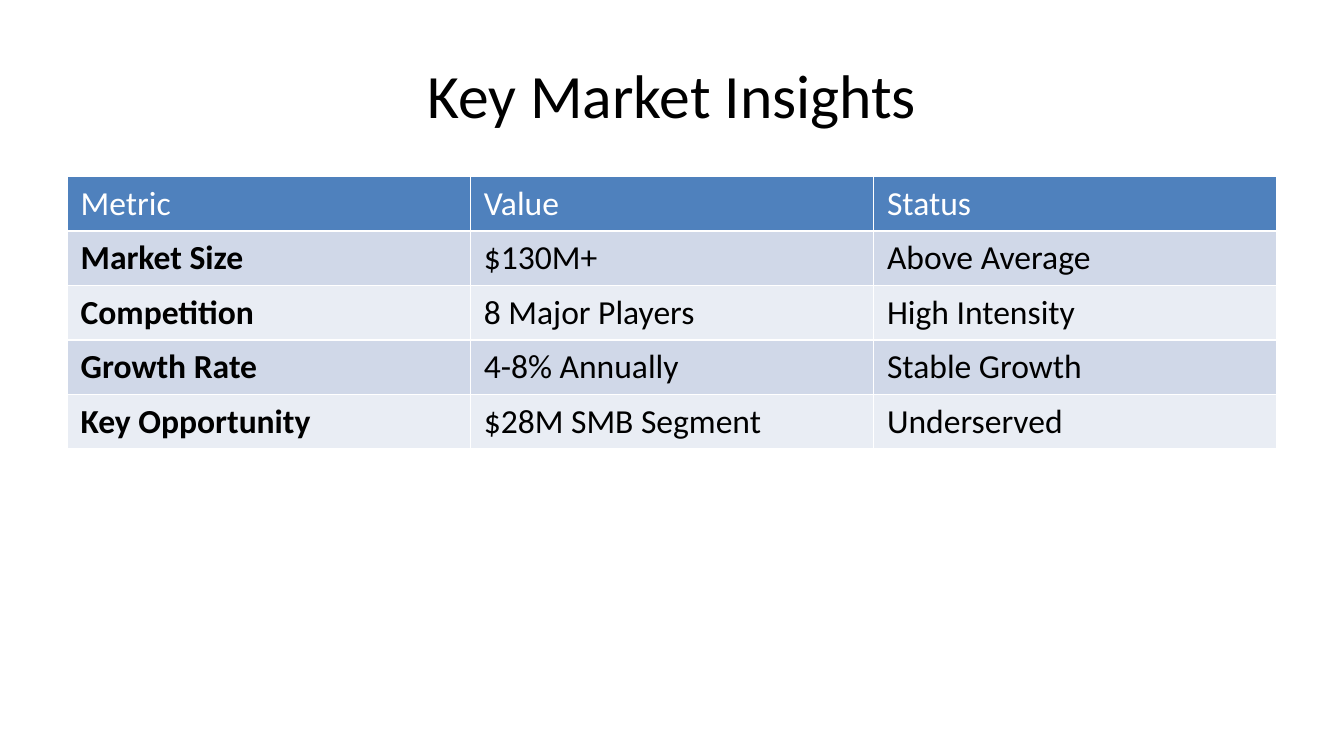
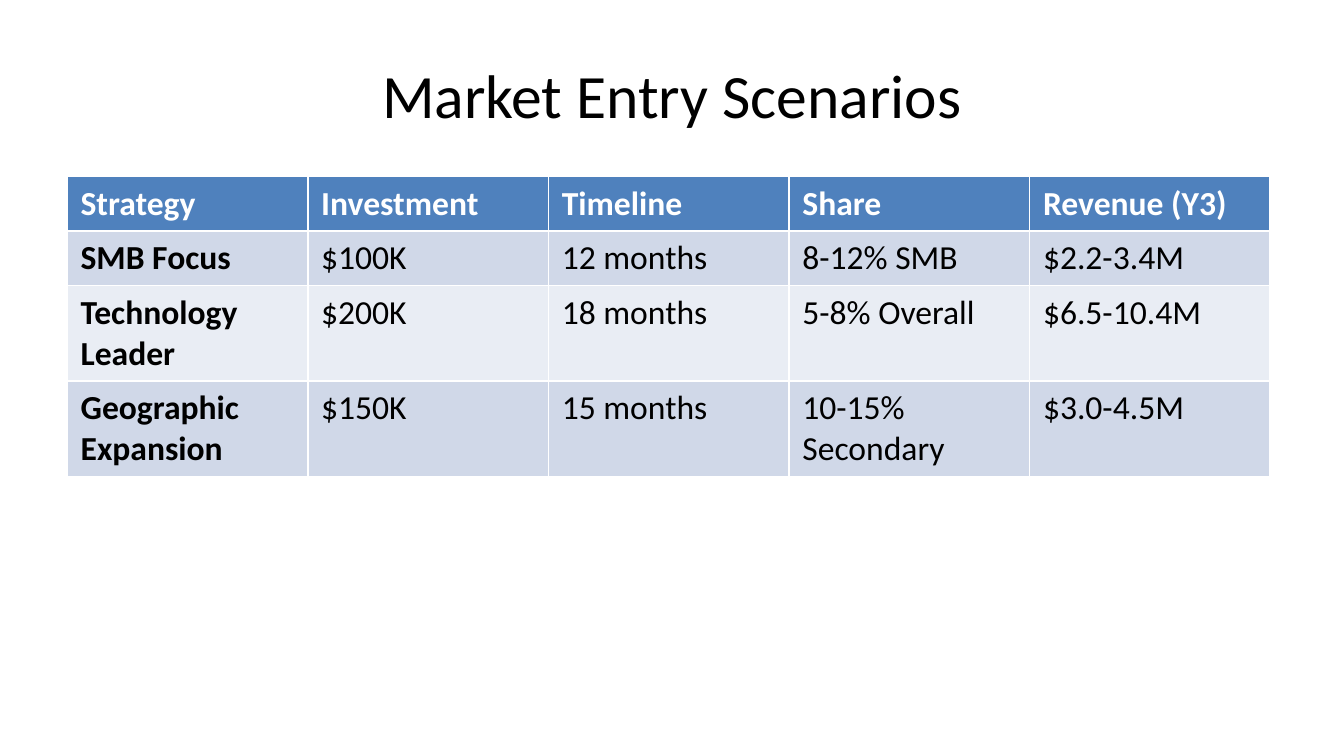
from pptx import Presentation
from pptx.dml.color import RGBColor
from pptx.enum.text import MSO_ANCHOR, MSO_AUTO_SIZE, PP_ALIGN
from pptx.util import Pt

BLACK = RGBColor(0x00, 0x00, 0x00)
WHITE = RGBColor(0xFF, 0xFF, 0xFF)
HEADER_BLUE = RGBColor(0x4F, 0x81, 0xBD)
BANDS = (RGBColor(0xD0, 0xD8, 0xE8), RGBColor(0xE9, 0xED, 0xF4))

FONT = "Calibri"
TITLE_SIZE = Pt(33)
TABLE_SIZE = Pt(18)
LEFT, WIDTH = Pt(36), Pt(648)
TITLE_TOP, TITLE_HEIGHT = Pt(16.5), Pt(67.5)
TABLE_TOP, TABLE_HEIGHT = Pt(94.5), Pt(267)
TITLE_ONLY = 5


class Deck:
    """Holds the shared style and the current slide."""

    def __init__(self):
        self.presentation = Presentation()
        self.presentation.slide_width = Pt(720)
        self.presentation.slide_height = Pt(405)
        self.slide = None

    def add_slide(self, title):
        layout = self.presentation.slide_layouts[TITLE_ONLY]
        self.slide = self.presentation.slides.add_slide(layout)
        self.add_title(title)

    def add_run(self, paragraph, text, size, color, bold=False):
        run = paragraph.add_run()
        run.text = text
        run.font.name = FONT
        run.font.size = size
        run.font.bold = bold
        run.font.color.rgb = color

    def add_title(self, text):
        shape = self.slide.shapes.title
        shape.left, shape.top = LEFT, TITLE_TOP
        shape.width, shape.height = WIDTH, TITLE_HEIGHT
        frame = shape.text_frame
        frame.auto_size = MSO_AUTO_SIZE.NONE
        frame.vertical_anchor = MSO_ANCHOR.MIDDLE
        paragraph = frame.paragraphs[0]
        paragraph.alignment = PP_ALIGN.CENTER
        self.add_run(paragraph, text, TITLE_SIZE, BLACK)

    def add_table(self, rows, column_width, bold_header):
        shape = self.slide.shapes.add_table(
            len(rows), len(rows[0]), LEFT, TABLE_TOP, WIDTH, TABLE_HEIGHT)
        table = shape.table
        table.horz_banding = False
        for column in table.columns:
            column.width = column_width
        # Rows grow to fit their text
        for row in table.rows:
            row.height = Pt(0)
        shape.width, shape.height = WIDTH, TABLE_HEIGHT

        for row_index, row in enumerate(rows):
            is_header = row_index == 0
            fill = HEADER_BLUE if is_header else BANDS[(row_index - 1) % 2]
            color = WHITE if is_header else BLACK
            for column_index, text in enumerate(row):
                cell = table.cell(row_index, column_index)
                cell.fill.solid()
                cell.fill.fore_color.rgb = fill
                bold = bold_header if is_header else column_index == 0
                self.add_run(cell.text_frame.paragraphs[0], text,
                             TABLE_SIZE, color, bold)


def main():
    deck = Deck()

    # Market insights
    deck.add_slide("Key Market Insights")
    deck.add_table([
        ("Metric", "Value", "Status"),
        ("Market Size", "$130M+", "Above Average"),
        ("Competition", "8 Major Players", "High Intensity"),
        ("Growth Rate", "4-8% Annually", "Stable Growth"),
        ("Key Opportunity", "$28M SMB Segment", "Underserved"),
    ], column_width=Pt(216), bold_header=False)

    # Entry scenarios
    deck.add_slide("Market Entry Scenarios")
    deck.add_table([
        ("Strategy", "Investment", "Timeline", "Share", "Revenue (Y3)"),
        ("SMB Focus", "$100K", "12 months", "8-12% SMB", "$2.2-3.4M"),
        ("Technology Leader", "$200K", "18 months", "5-8% Overall", "$6.5-10.4M"),
        ("Geographic Expansion", "$150K", "15 months", "10-15% Secondary", "$3.0-4.5M"),
    ], column_width=Pt(128.9), bold_header=True)

    deck.presentation.save("out.pptx")


if __name__ == "__main__":
    main()
